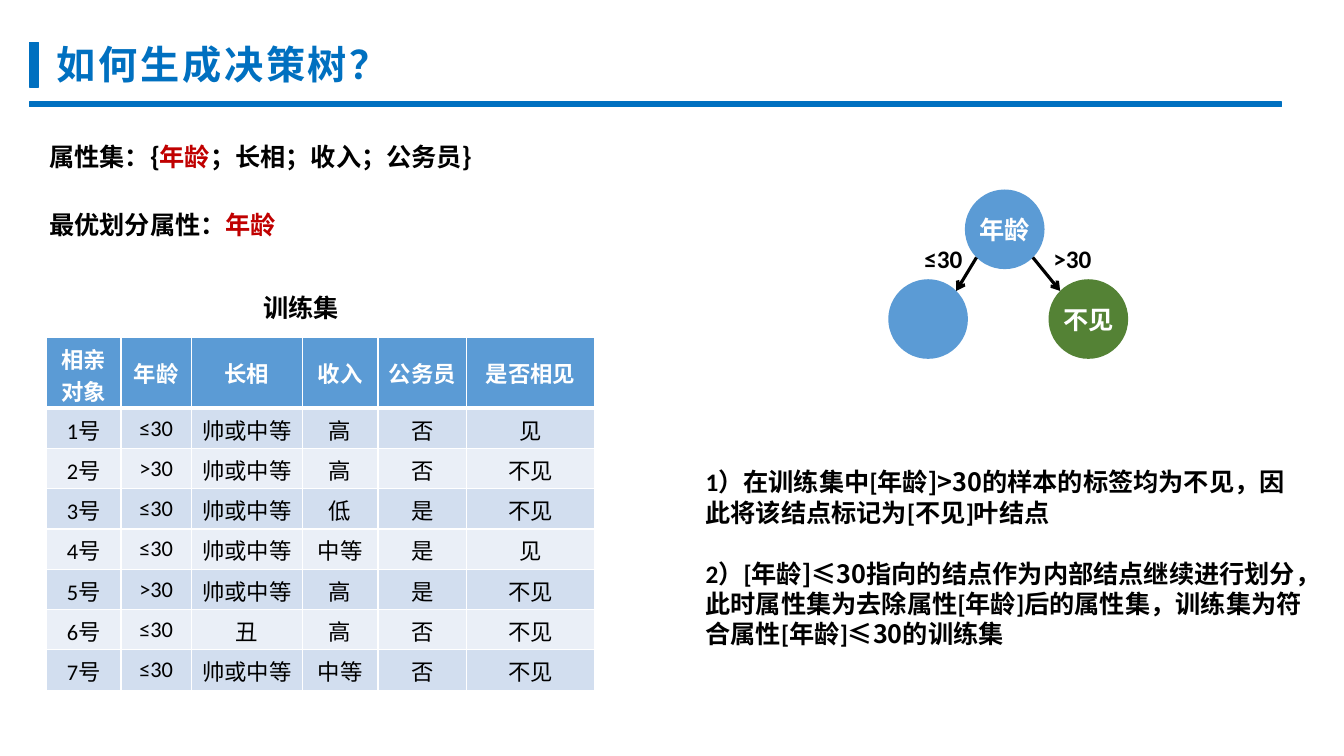
from dataclasses import dataclass

from lxml import etree
from pptx import Presentation
from pptx.dml.color import RGBColor
from pptx.enum.shapes import MSO_CONNECTOR, MSO_SHAPE
from pptx.enum.text import MSO_ANCHOR, PP_ALIGN
from pptx.oxml.ns import qn
from pptx.util import Inches, Pt

RECTANGLE, OVAL = MSO_SHAPE.RECTANGLE, MSO_SHAPE.OVAL
STRAIGHT = MSO_CONNECTOR.STRAIGHT
MIDDLE, CENTER = MSO_ANCHOR.MIDDLE, PP_ALIGN.CENTER


@dataclass(frozen=True)
class Theme:
    accent: str = "0070C0"
    node: str = "5B9BD5"
    leaf: str = "548235"
    bands: tuple = ("D2DEEF", "EAEFF7")
    ink: str = "000000"
    paper: str = "FFFFFF"
    highlight: str = "C00000"
    latin: str = "Calibri"
    chinese: str = "Noto Sans CJK SC"
    title: int = 28
    body: int = 18
    cell: int = 16


THEME = Theme()


@dataclass(frozen=True)
class Box:
    left: int
    top: int
    width: int
    height: int

    def inner(self, left, top, width, height):
        """Return an inner box given in percent of this one."""
        return Box(int(self.left + self.width * left / 100),
                   int(self.top + self.height * top / 100),
                   int(self.width * width / 100),
                   int(self.height * height / 100))

    def on_circle(self, right, down):
        """Return the diagonal point of the inscribed circle; signs pick the quadrant."""
        reach = 0.5 * 0.5 ** 0.5
        return (int(self.left + self.width * (0.5 + right * reach)),
                int(self.top + self.height * (0.5 + down * reach)))

    @property
    def bounds(self):
        return self.left, self.top, self.width, self.height


def color(value):
    return RGBColor.from_string(value)


def add_run(paragraph, text, ink=THEME.ink, size=THEME.body, bold=True, latin=THEME.latin):
    run = paragraph.add_run()
    run.text = text
    font = run.font
    font.size, font.bold, font.name = Pt(size), bold, latin
    font.color.rgb = color(ink)
    latin_element = font._element.find(qn("a:latin"))
    east_asian = etree.Element(qn("a:ea"), typeface=THEME.chinese)
    latin_element.addnext(east_asian)
    return run


def add_text(slide, box, *runs):
    """Add a wrapped text box whose runs are (text, options) pairs."""
    frame = slide.shapes.add_textbox(*box.bounds).text_frame
    frame.word_wrap = True
    for text, options in runs:
        add_run(frame.paragraphs[0], text, **options)
    return frame


def add_filled(slide, preset, box, fill):
    shape = slide.shapes.add_shape(preset, *box.bounds)
    shape.shadow.inherit = False
    shape.fill.solid()
    shape.fill.fore_color.rgb = color(fill)
    shape.line.fill.background()
    return shape


def add_header(slide, box):
    for area in (box.inner(0, 10, 0.72, 62), box.inner(0, 93, 100, 7)):
        bar = add_filled(slide, RECTANGLE, area, THEME.accent)
        bar.line.color.rgb = color(THEME.accent)
        bar.line.width = Pt(1)
    style = dict(ink=THEME.accent, size=THEME.title, latin=THEME.chinese)
    frame = add_text(slide, box.inner(1.37, 0, 32, 80), ("如何生成决策树？", style))
    frame.paragraphs[0].runs[0].font._element.set("spc", "200")


def add_attributes(slide, box):
    chinese = dict(latin=THEME.chinese)
    chosen = dict(latin=THEME.chinese, ink=THEME.highlight)
    add_text(slide, box.inner(0, 0, 100, 37),
             ("属性集：{", chinese), ("年龄", chosen), ("；长相；收入；公务员}", chinese))
    add_text(slide, box.inner(0, 63, 100, 37), ("最优划分属性：", {}), ("年龄", chosen))


def set_borders(cell, top, bottom):
    properties = cell._tc.get_or_add_tcPr()
    for side, points in (("L", 1), ("R", 1), ("T", top), ("B", bottom)):
        line = etree.SubElement(properties, qn(f"a:ln{side}"), w=str(int(Pt(points))))
        fill = etree.SubElement(line, qn("a:solidFill"))
        etree.SubElement(fill, qn("a:srgbClr"), val=THEME.paper)


def add_training_set(slide, box):
    add_text(slide, box.inner(37.7, 0, 18.4, 10), ("训练集", {}))
    records = [
        ("相亲对象", "年龄", "长相", "收入", "公务员", "是否相见"),
        ("1号", "≤30", "帅或中等", "高", "否", "见"),
        ("2号", ">30", "帅或中等", "高", "否", "不见"),
        ("3号", "≤30", "帅或中等", "低", "是", "不见"),
        ("4号", "≤30", "帅或中等", "中等", "是", "见"),
        ("5号", ">30", "帅或中等", "高", "是", "不见"),
        ("6号", "≤30", "丑", "高", "否", "不见"),
        ("7号", "≤30", "帅或中等", "中等", "否", "不见"),
    ]
    column_weights = (74, 70, 110, 75, 88, 127)
    row_weights = (7,) + (4,) * (len(records) - 1)
    area = box.inner(0, 12.5, 100, 87.5)
    table = slide.shapes.add_table(len(records), len(column_weights), *area.bounds).table
    for column, weight in zip(table.columns, column_weights):
        column.width = area.width * weight // sum(column_weights)
    for row, weight in zip(table.rows, row_weights):
        row.height = area.height * weight // sum(row_weights)
    for row_index, record in enumerate(records):
        heading = row_index == 0
        for column_index, text in enumerate(record):
            cell = table.cell(row_index, column_index)
            set_borders(cell, 3 if row_index == 1 else 1, 3 if heading else 1)
            cell.fill.solid()
            band = THEME.bands[(row_index - 1) % 2]
            cell.fill.fore_color.rgb = color(THEME.node if heading else band)
            cell.vertical_anchor = MIDDLE
            cell.margin_left = cell.margin_right = Inches(0.08)
            paragraph = cell.text_frame.paragraphs[0]
            paragraph.alignment = CENTER
            add_run(paragraph, text, THEME.paper if heading else THEME.ink,
                    THEME.cell, heading)


def add_node(slide, box, fill, text=""):
    frame = add_filled(slide, OVAL, box, fill).text_frame
    frame.margin_left = frame.margin_right = 0
    frame.vertical_anchor = MIDDLE
    frame.paragraphs[0].alignment = CENTER
    if text:
        add_run(frame.paragraphs[0], text, THEME.paper)


def add_arrow(slide, start, end):
    arrow = slide.shapes.add_connector(STRAIGHT, *start, *end)
    arrow.line.color.rgb = color(THEME.ink)
    arrow.line.width = Pt(2.25)
    etree.SubElement(arrow.line._get_or_add_ln(), qn("a:tailEnd"), type="arrow")
    etree.SubElement(arrow._element.spPr, qn("a:effectLst"))


def add_tree(slide, box):
    root = box.inner(31.93, 0, 33.2, 47)
    add_node(slide, root, THEME.node, "年龄")
    branches = (
        (-1, 0, THEME.node, "", 10.92, "≤30"),
        (1, 66.8, THEME.leaf, "不见", 64.7, ">30"),
    )
    for side, left, fill, text, label_left, label in branches:
        child = box.inner(left, 53, 33.2, 47)
        add_node(slide, child, fill, text)
        add_arrow(slide, root.on_circle(side, 1), child.on_circle(-side, -1))
        add_text(slide, box.inner(label_left, 28.57, 27, 23.8), (label, {}))


def add_conclusions(slide, box):
    chinese = dict(latin=THEME.chinese)
    frame = add_text(slide, box, ("1）在训练集中[年龄", {}), ("]>30", chinese),
                     ("的样本的标签均为不见，因此将该结点标记为[不见]叶结点", {}))
    paragraph = frame.add_paragraph()
    paragraph.space_before = Pt(22)
    add_run(paragraph, "2）[年龄")
    add_run(paragraph, "]≤30", **chinese)
    add_run(paragraph, "指向的结点作为内部结点继续进行划分，此时属性集为去除属性[年龄]后的属性集，训练集为符合属性[年龄]")
    add_run(paragraph, "≤30", **chinese)
    add_run(paragraph, "的训练集")


def main():
    presentation = Presentation()
    presentation.slide_width, presentation.slide_height = Inches(13.33), Inches(7.5)
    slide = presentation.slides.add_slide(presentation.slide_layouts[6])
    page = Box(0, 0, presentation.slide_width, presentation.slide_height)
    add_header(slide, page.inner(2.18, 4.67, 93.17, 9.47))
    add_attributes(slide, page.inner(2.93, 18, 37.36, 14.4))
    add_training_set(slide, page.inner(3.45, 38, 40.81, 53.33))
    add_tree(slide, page.inner(66.09, 25.07, 17.85, 22.4))
    add_conclusions(slide, page.inner(51.76, 61.07, 45.91, 25.6))
    presentation.save("out.pptx")


if __name__ == "__main__":
    main()
